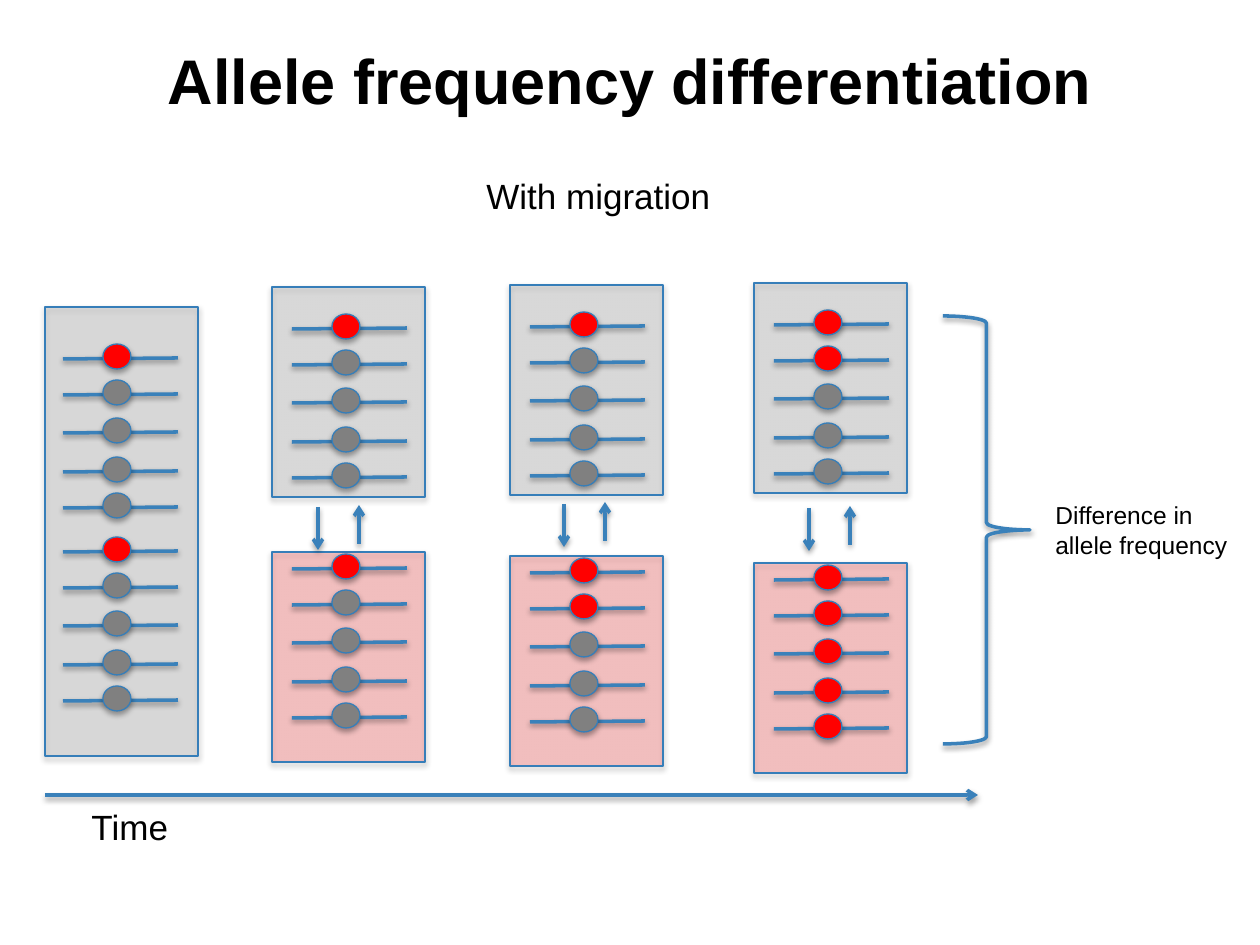
"""Build the slide on allele frequency differentiation with migration."""
import pptx
import pptx.util
import pptx.dml.color
import pptx.enum.shapes
import pptx.enum.text
import pptx.oxml
import pptx.oxml.ns

PX = 914400 / 126
C = {"gray": "808080", "red": "FF0000", "outline": "367EB9",
     "line": "3A81BA", "text": "000000", "shadow": "000000"}
SHAPE = pptx.enum.shapes.MSO_SHAPE
ALIGN = pptx.enum.text.PP_ALIGN
ANCHOR = pptx.enum.text.MSO_ANCHOR

BOX_W, BOX_H = 153, 210
DOT_W, DOT_H = 28, 25
STRAND_W = 115
ROWS = [0, 36, 74, 113, 149]

BOXES = [
    (45, 307, 449, "gray", 18, [(52, "RGGGG"), (245, "RGGGG")]),
    (272, 287, BOX_H, "gray", 20, [(42, "RGGGG")]),
    (272, 552, BOX_H, "red", 20, [(17, "RGGGG")]),
    (510, 285, BOX_H, "gray", 20, [(42, "RGGGG")]),
    (510, 556, BOX_H, "red", 20, [(17, "RRGGG")]),
    (754, 283, BOX_H, "gray", 20, [(42, "RRGGG")]),
    (754, 563, BOX_H, "red", 20, [(17, "RRRRR")]),
]
ALLELES = {"R": "red", "G": "gray"}
MIGRATIONS = [(318, 507), (564, 504), (809, 508)]
LABELS = [
    (474, 168, 251, 55, 20, ["With migration"]),
    (79, 799, 105, 55, 20, ["Time"]),
    (1043, 494, 200, 72, 14, ["Difference in", "allele frequency"]),
]


def emu(px):
    return pptx.util.Emu(round(px * PX))


def rgb(name):
    return pptx.dml.color.RGBColor.from_string(C[name])


def element(xml):
    return pptx.oxml.parse_xml(xml.replace(">", " " + pptx.oxml.ns.nsdecls("a") + ">", 1))


def style_line(sp, color, width):
    sp.line.color.rgb = rgb(color)
    sp.line.width = pptx.util.Pt(width)


def add_shadow(sp, dist, alpha):
    sp._element.spPr.append(element(
        '<a:effectLst><a:outerShdw blurRad="40000" dist="%d" dir="5400000" rotWithShape="0">'
        '<a:srgbClr val="%s"><a:alpha val="%d"/></a:srgbClr></a:outerShdw></a:effectLst>'
        % (dist, C["shadow"], alpha * 1000)))


def add_filled(s, kind, x, y, w, h, fill, alpha=None):
    sp = s.shapes.add_shape(kind, emu(x), emu(y), emu(w), emu(h))
    sp.fill.solid()
    sp.fill.fore_color.rgb = rgb(fill)
    if alpha:
        color = sp._element.spPr.find(".//" + pptx.oxml.ns.qn("a:srgbClr"))
        color.append(element('<a:alpha val="%d"></a:alpha>' % (alpha * 1000)))
    style_line(sp, "outline", 0.75)
    add_shadow(sp, 23000, 35)


def add_line(s, x1, y1, x2, y2, arrow=False):
    kind = pptx.enum.shapes.MSO_CONNECTOR.STRAIGHT
    cx = s.shapes.add_connector(kind, emu(x1), emu(y1), emu(x2), emu(y2))
    style_line(cx, "line", 2)
    if arrow:
        cx.line._get_or_add_ln().append(element('<a:tailEnd type="arrow"></a:tailEnd>'))
    add_shadow(cx, 20000, 38)


def add_text(s, x, y, w, h, size, lines):
    tf = s.shapes.add_textbox(emu(x), emu(y), emu(w), emu(h)).text_frame
    tf.word_wrap = False
    tf.text = "\n".join(lines)
    for p in tf.paragraphs:
        p.font.name = "Arial"
        p.font.size = pptx.util.Pt(size)
        p.font.color.rgb = rgb("text")
    return tf


def add_strands(s, x, y, alleles):
    for row, allele in zip(ROWS, alleles):
        add_line(s, x, y + row, x + STRAND_W, y + row - 1)
        add_filled(s, SHAPE.OVAL, x + 40, y + row - 15, DOT_W, DOT_H, ALLELES[allele])


def add_title(s, text):
    tf = add_text(s, 63, 0, 1134, 158, 36, [text])
    tf.word_wrap = True
    tf.vertical_anchor = ANCHOR.MIDDLE
    tf.margin_top = tf.margin_bottom = pptx.util.Inches(0.1)
    p = tf.paragraphs[0]
    p.alignment = ALIGN.CENTER
    p.font.bold = True


def add_brace(s):
    sp = s.shapes.add_shape(SHAPE.RIGHT_BRACE, emu(943), emu(316), emu(87), emu(428))
    sp.fill.background()
    style_line(sp, "line", 2)
    add_shadow(sp, 20000, 38)


def main():
    prs = pptx.Presentation()
    prs.slide_width, prs.slide_height = emu(1260), emu(945)
    s = prs.slides.add_slide(prs.slide_layouts[6])
    add_title(s, "Allele frequency differentiation")
    for x, y, h, color, inset, groups in BOXES:
        add_filled(s, SHAPE.RECTANGLE, x, y, BOX_W, h, color, alpha=20)
        for offset, alleles in groups:
            add_strands(s, x + inset, y + offset, alleles)
    for x, y in MIGRATIONS:
        add_line(s, x, y, x, y + 43, arrow=True)
        add_line(s, x + 41, y + 37, x + 41, y - 2, arrow=True)
    add_brace(s)
    add_line(s, 45, 795, 978, 795, arrow=True)
    for label in LABELS:
        add_text(s, *label)
    prs.save("out.pptx")


if __name__ == "__main__":
    main()
